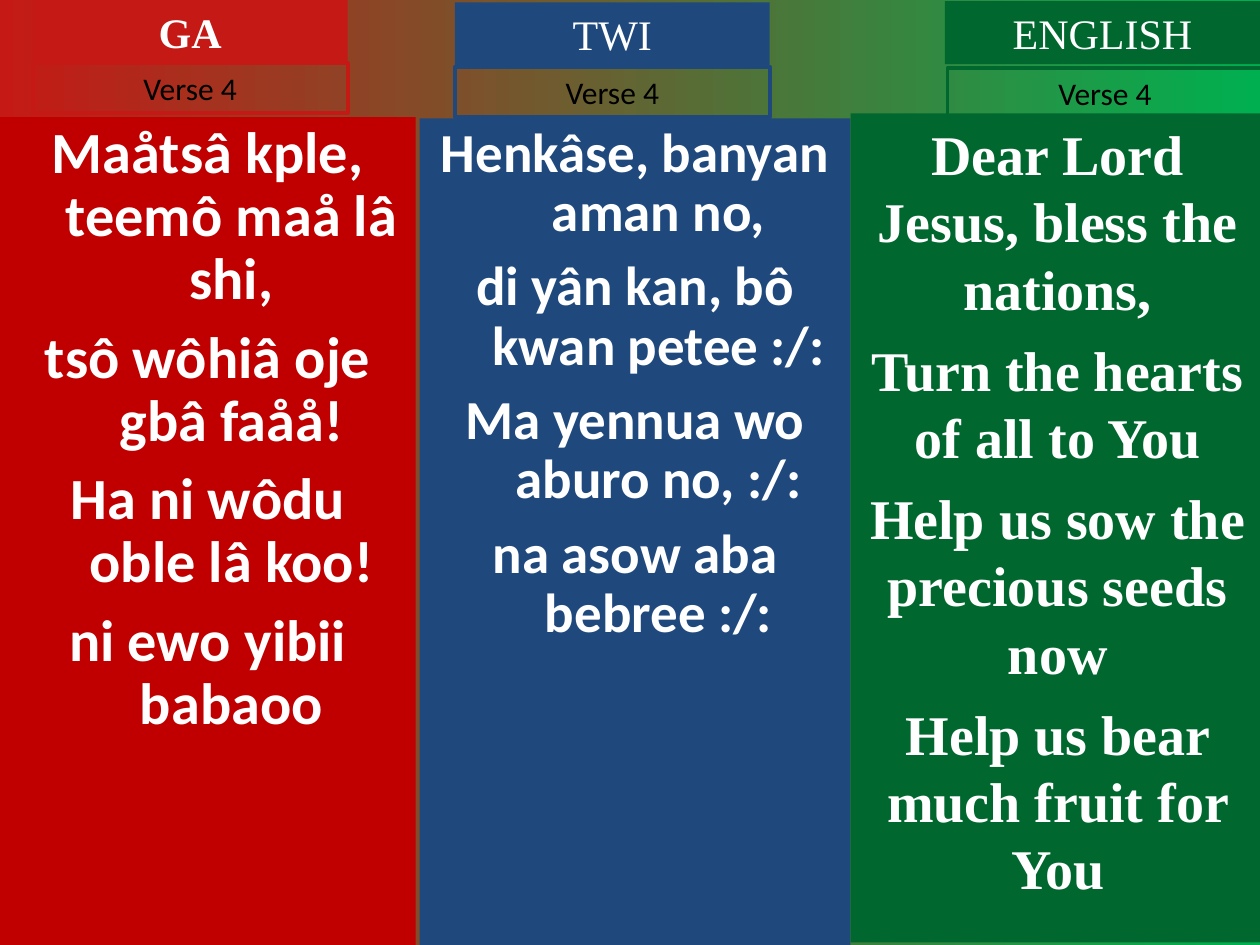
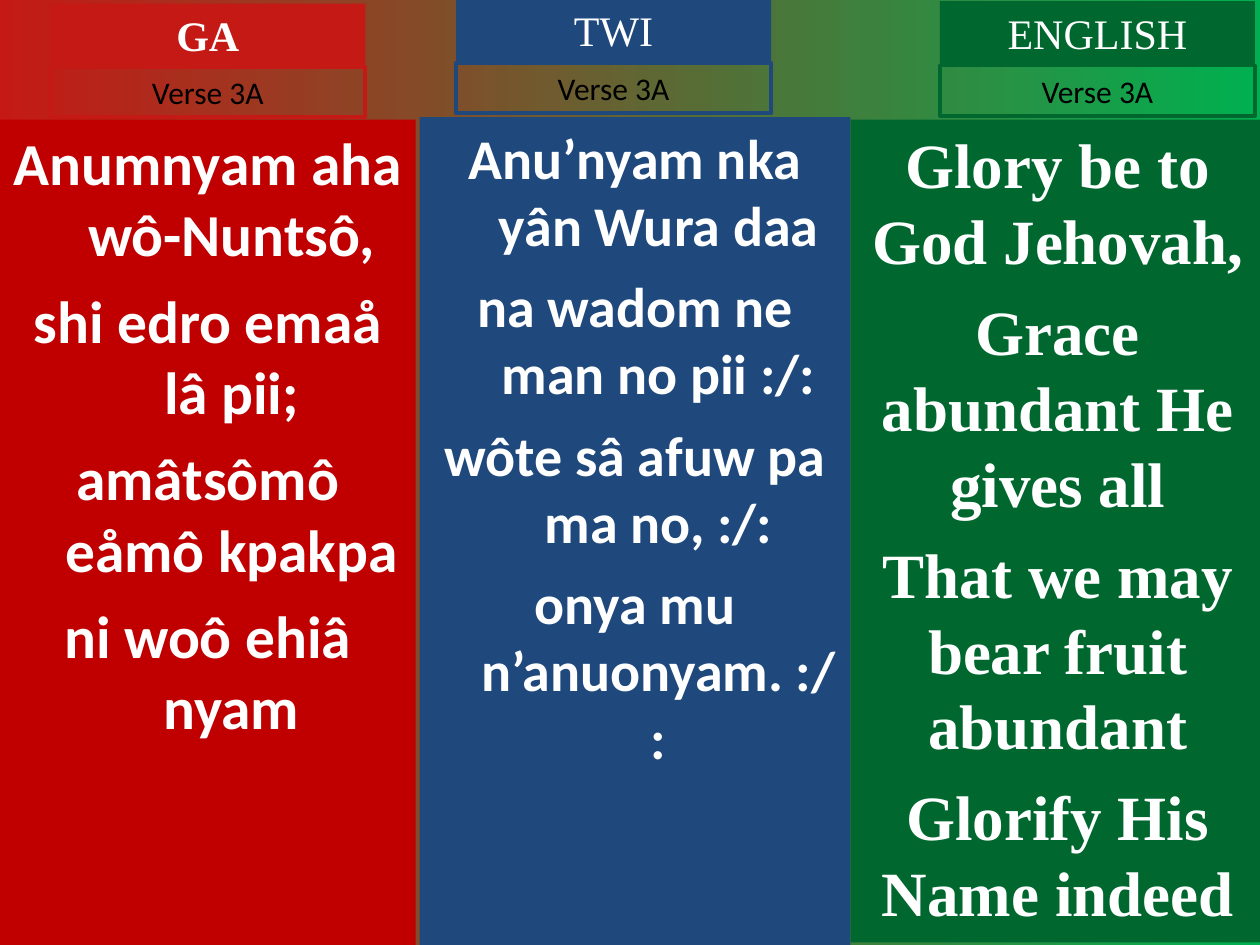
from dataclasses import dataclass

from pptx import Presentation
from pptx.dml.color import RGBColor
from pptx.enum.shapes import MSO_SHAPE
from pptx.enum.text import MSO_ANCHOR, MSO_AUTO_SIZE, PP_ALIGN
from pptx.util import Pt


@dataclass(frozen=True)
class Theme:
    red: str = "C51915"
    deep_red: str = "C00000"
    blue: str = "1F497D"
    green: str = "00682F"
    bright_green: str = "00B050"
    white: str = "FFFFFF"
    black: str = "000000"
    sans: str = "Calibri"
    serif: str = "Times New Roman"
    heading_size: float = 24
    verse_size: float = 18
    outline_width: float = 2.25
    hanging_indent: float = 27
    tag_width: float = 180
    heading_height: float = 36
    verse_height: float = 28.8


@dataclass(frozen=True)
class Language:
    name: str
    panel_left: float
    panel_width: float
    panel_color: str
    tag_color: str
    font_name: str
    hanging: bool = True
    bold_heading: bool = False


@dataclass(frozen=True)
class Stanza:
    """One language's text on one slide; boxes are (left, top), panel is (top, height)."""
    panel: tuple
    heading_at: tuple
    verse_at: tuple
    size: float
    space_before: float
    lines: tuple
    line_spacing: float = 1.0


THEME = Theme()

LANGUAGES = (
    Language("GA", 0, 237.6, THEME.deep_red, THEME.red, THEME.sans, bold_heading=True),
    Language("TWI", 239.76, 246.24, THEME.blue, THEME.blue, THEME.sans),
    Language("ENGLISH", 486, 236.88, THEME.green, THEME.green, THEME.serif, hanging=False),
)

HYMN_SLIDES = (
    ("Verse 4", (
        Stanza((66.96, 473.04), (18.72, 0), (18.72, 36), 33.3, 9, (
            "Maåtsâ kple, teemô maå lâ shi,",
            "tsô wôhiâ oje gbâ faåå!",
            "Ha ni wôdu oble lâ koo!",
            "ni ewo yibii babaoo",
        ), 0.9),
        Stanza((67.68, 472.32), (259.92, 1.44), (259.92, 38.16), 31.4, 8.5, (
            "Henkâse, banyan aman no,",
            "di yân kan, bô kwan petee :/:",
            "Ma yennua wo aburo no, :/:",
            "na asow aba bebree :/:",
        ), 0.9),
        Stanza((64.8, 473.76), (540, 0.72), (541.44, 38.88), 32, 8, (
            "Dear Lord Jesus, bless the nations,",
            "Turn the hearts of all to You",
            "Help us sow the precious seeds now",
            "Help us bear much fruit for You",
        )),
    )),
    ("Verse 3A", (
        Stanza((68.4, 471.6), (28.8, 2.16), (28.8, 38.16), 34, 8.5, (
            "Anumnyam aha wô-Nuntsô,",
            "shi edro emaå lâ pii;",
            "amâtsômô eåmô kpakpa",
            "ni woô ehiâ nyam",
        )),
        Stanza((66.96, 473.04), (260.64, -0.72), (260.64, 36), 32, 8, (
            "Anu’nyam nka yân Wura daa",
            "na wadom ne man no pii :/:",
            "wôte sâ afuw pa ma no, :/:",
            "onya mu n’anuonyam. :/:",
        )),
        Stanza((68.4, 470.16), (537.12, 0.72), (537.12, 37.44), 36, 9, (
            "Glory be to God Jehovah,",
            "Grace abundant He gives all",
            "That we may bear fruit abundant",
            "Glorify His Name indeed",
        )),
    )),
)


def set_attributes(target, values):
    for name, value in values.items():
        setattr(target, name, value)


class HymnDeck:
    def __init__(self, theme):
        self.theme = theme
        self.presentation = Presentation()
        set_attributes(self.presentation, {"slide_width": Pt(720), "slide_height": Pt(540)})
        self.slide = None

    def add_slide(self):
        blank_layout = self.presentation.slide_layouts[6]
        self.slide = self.presentation.slides.add_slide(blank_layout)
        fill = self.slide.background.fill
        fill.gradient()
        fill.gradient_angle = 0
        colors = (self.theme.red, self.theme.bright_green)
        for position, (stop, color) in enumerate(zip(fill.gradient_stops, colors)):
            stop.color.rgb = RGBColor.from_string(color)
            stop.position = position

    def add_box(self, left, top, width, height, fill=None, outline=None):
        shape = self.slide.shapes.add_shape(
            MSO_SHAPE.RECTANGLE, Pt(left), Pt(top), Pt(width), Pt(height))
        shape.shadow.inherit = False
        if fill:
            shape.fill.solid()
            shape.fill.fore_color.rgb = RGBColor.from_string(fill)
        else:
            shape.fill.background()
        if outline:
            shape.line.color.rgb = RGBColor.from_string(outline)
            shape.line.width = Pt(self.theme.outline_width)
        else:
            shape.line.fill.background()
        set_attributes(shape.text_frame, {
            "word_wrap": True,
            "vertical_anchor": MSO_ANCHOR.TOP,
            "margin_left": Pt(7.2), "margin_right": Pt(7.2),
            "margin_top": Pt(3.6), "margin_bottom": Pt(3.6),
        })
        return shape

    def add_text(self, paragraph, text, font_name, size, color, bold=False):
        paragraph.alignment = PP_ALIGN.CENTER
        run = paragraph.add_run()
        run.text = text
        set_attributes(run.font, {"name": font_name, "size": Pt(size), "bold": bold})
        run.font.color.rgb = RGBColor.from_string(color)

    def add_panel(self, language, stanza):
        top, height = stanza.panel
        shape = self.add_box(language.panel_left, top, language.panel_width, height,
                             fill=language.panel_color)
        frame = shape.text_frame
        for index, line in enumerate(stanza.lines):
            paragraph = frame.add_paragraph() if index else frame.paragraphs[0]
            set_attributes(paragraph, {
                "line_spacing": stanza.line_spacing,
                "space_before": Pt(stanza.space_before if index else 0),
            })
            if language.hanging:
                indent = Pt(self.theme.hanging_indent)
                properties = paragraph._p.get_or_add_pPr()
                properties.set("marL", str(indent))
                properties.set("indent", str(-indent))
            self.add_text(paragraph, line, language.font_name, stanza.size,
                          self.theme.white, bold=True)

    def add_tag(self, position, height, text, font_name, size, color, bold=False, **look):
        shape = self.add_box(*position, self.theme.tag_width, height, **look)
        shape.text_frame.auto_size = MSO_AUTO_SIZE.SHAPE_TO_FIT_TEXT
        self.add_text(shape.text_frame.paragraphs[0], text, font_name, size, color, bold)

    def add_column(self, language, stanza, verse):
        theme = self.theme
        self.add_panel(language, stanza)
        self.add_tag(stanza.heading_at, theme.heading_height, language.name,
                     theme.serif, theme.heading_size, theme.white,
                     language.bold_heading, fill=language.tag_color)
        self.add_tag(stanza.verse_at, theme.verse_height, verse,
                     theme.sans, theme.verse_size, theme.black,
                     outline=language.tag_color)


def main():
    deck = HymnDeck(THEME)
    for verse, stanzas in HYMN_SLIDES:
        deck.add_slide()
        for language, stanza in zip(LANGUAGES, stanzas):
            deck.add_column(language, stanza, verse)
    deck.presentation.save("out.pptx")


if __name__ == "__main__":
    main()
